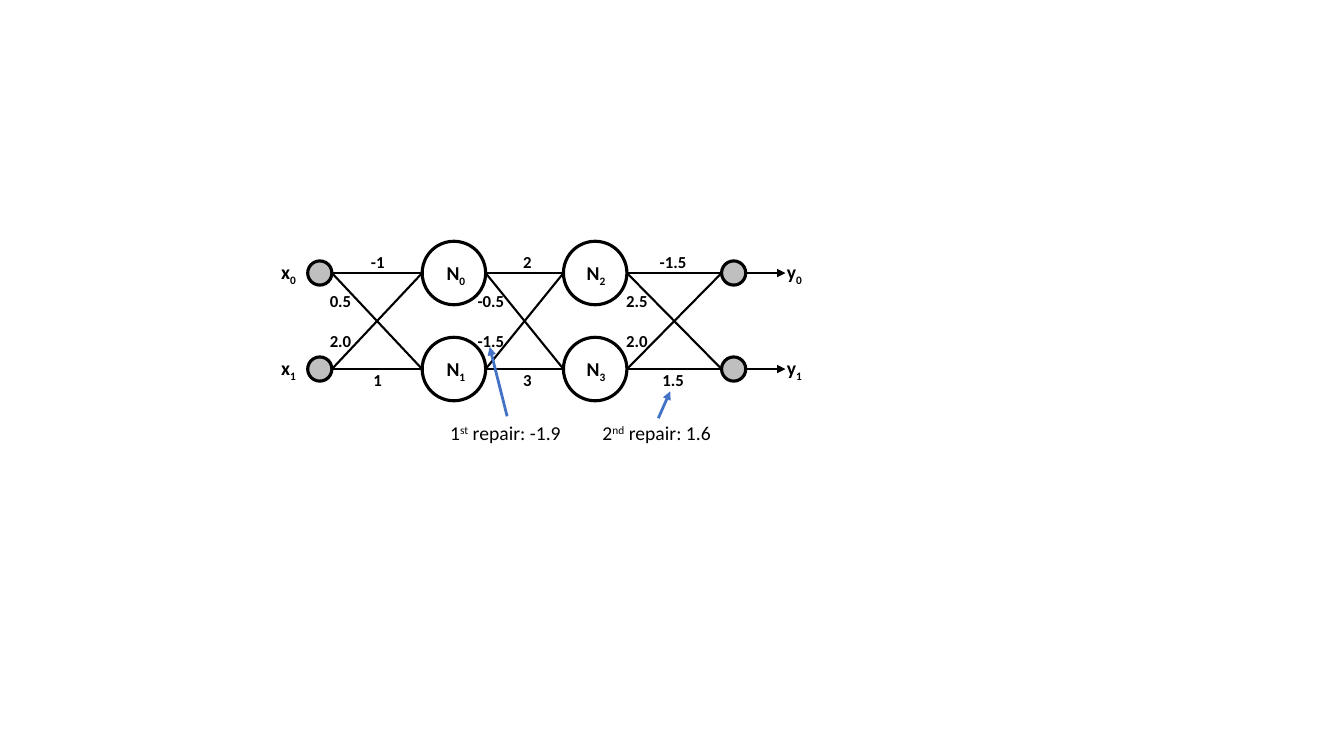
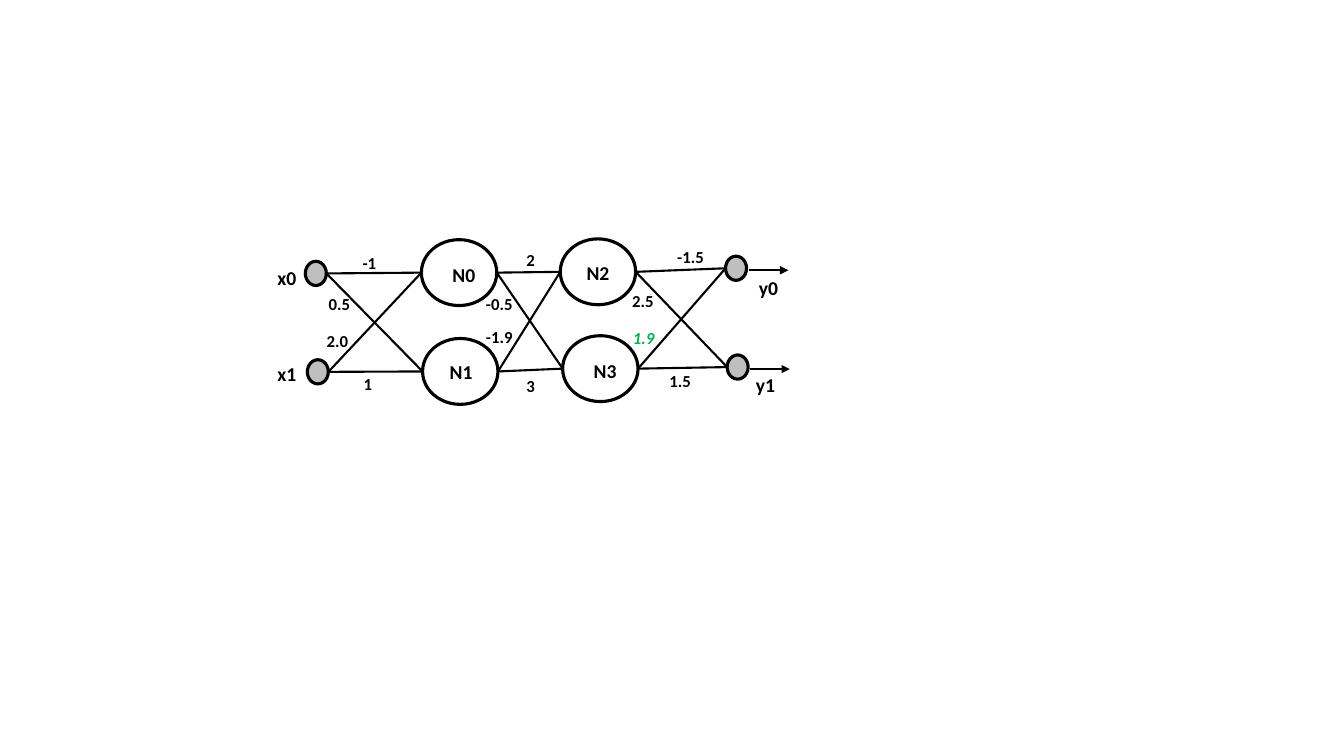
from dataclasses import dataclass
from itertools import pairwise, product

from lxml import etree
from pptx import Presentation
from pptx.dml.color import RGBColor
from pptx.enum import shapes, text
from pptx.oxml import ns
from pptx.util import Cm, Pt


@dataclass(frozen=True)
class Theme:
    font: str = "Calibri"
    ink: RGBColor = RGBColor(0x00, 0x00, 0x00)
    terminal_fill: RGBColor = RGBColor(0xBF, 0xBF, 0xBF)
    accent: RGBColor = RGBColor(0x44, 0x72, 0xC4)
    changed: RGBColor = RGBColor(0x00, 0xB0, 0x50)
    name_size: float = 14
    weight_size: float = 12
    outline: float = 2.25
    edge: float = 1.5
    pointer: float = 2


THEME = Theme()
ELLIPSE_LEFT, ELLIPSE_RIGHT = 2, 6  # connection sites of an ellipse
SUBSCRIPT, SUPERSCRIPT = -25, 30


@dataclass(frozen=True)
class Node:
    name: str
    x: float
    y: float
    name_x: float
    name_y: float


@dataclass(frozen=True)
class Weight:
    value: str
    x: float
    y: float
    changed: bool = False


@dataclass(frozen=True)
class Network:
    layers: list
    weights: list
    hidden_size: tuple
    terminal_size: tuple
    subscripts: bool = False
    arrow_shift: tuple = (0, 0)


# Elements
def add_label(slide, runs, x, y, size, bold=True, italic=False, color=THEME.ink):
    """Add a one-line label centred on (x, y); runs are (text, baseline) pairs."""
    letters = sum(len(content) for content, _ in runs)
    width = Cm(0.75) + Pt(letters * size * 0.5)
    height = Cm(0.25) + Pt(size * 1.22)
    box = slide.shapes.add_textbox(int(Cm(x) - width / 2), int(Cm(y) - height / 2),
                                   int(width), int(height))
    frame = box.text_frame
    frame.word_wrap = False
    frame.auto_size = text.MSO_AUTO_SIZE.SHAPE_TO_FIT_TEXT
    paragraph = frame.paragraphs[0]
    paragraph.alignment = text.PP_ALIGN.CENTER
    font = paragraph.font
    font.name, font.size, font.bold, font.italic = THEME.font, Pt(size), bold, italic
    font.color.rgb = color
    for content, baseline in runs:
        run = paragraph.add_run()
        run.text = content
        if baseline:
            run.font._element.set("baseline", str(baseline * 1000))


def add_node(slide, node, size, fill=None):
    width, height = size
    shape = slide.shapes.add_shape(
        shapes.MSO_SHAPE.OVAL, Cm(node.x - width / 2), Cm(node.y - height / 2),
        Cm(width), Cm(height))
    shape.shadow.inherit = False
    if fill is None:
        shape.fill.background()
    else:
        shape.fill.solid()
        shape.fill.fore_color.rgb = fill
    shape.line.color.rgb = THEME.ink
    shape.line.width = Pt(THEME.outline)
    return shape


def add_line(slide, start, end, color=THEME.ink, width=THEME.edge, arrow=False):
    connector = slide.shapes.add_connector(shapes.MSO_CONNECTOR.STRAIGHT, *start, *end)
    connector.line.color.rgb = color
    connector.line.width = Pt(width)
    if arrow:
        etree.SubElement(connector.line._get_or_add_ln(), ns.qn("a:tailEnd"), type="triangle")
    etree.SubElement(connector._element.spPr, ns.qn("a:effectLst"))
    return connector


def add_edge(slide, source, target):
    """Join the right side of one ellipse to the left side of another."""
    connector = add_line(
        slide,
        (source.left + source.width, source.top + source.height // 2),
        (target.left, target.top + target.height // 2))
    joints = connector._element.nvCxnSpPr.cNvCxnSpPr
    for tag, shape, site in (("a:stCxn", source, ELLIPSE_RIGHT),
                             ("a:endCxn", target, ELLIPSE_LEFT)):
        etree.SubElement(joints, ns.qn(tag), id=str(shape.shape_id), idx=str(site))


def add_network(slide, network):
    # Nodes
    last = len(network.layers) - 1
    columns = []
    for index, layer in enumerate(network.layers):
        if index in (0, last):
            style = (network.terminal_size, THEME.terminal_fill)
        else:
            style = (network.hidden_size,)
        columns.append([add_node(slide, node, *style) for node in layer])

    # Edges between neighbouring layers
    for left, right in pairwise(columns):
        for source, target in product(left, right):
            add_edge(slide, source, target)

    # Output arrows
    shift_x, shift_y = network.arrow_shift
    for shape in columns[-1]:
        x = shape.left + shape.width + Cm(shift_x)
        y = shape.top + shape.height // 2 + Cm(shift_y)
        add_line(slide, (x, y), (x + Cm(1), y), arrow=True)

    # Names and weights
    baseline = SUBSCRIPT if network.subscripts else 0
    for layer in network.layers:
        for node in layer:
            runs = [(node.name[0], 0), (node.name[1:], baseline)]
            add_label(slide, runs, node.name_x, node.name_y, THEME.name_size)
    for weight in network.weights:
        add_label(slide, [(weight.value, 0)], weight.x, weight.y, THEME.weight_size,
                  italic=weight.changed,
                  color=THEME.changed if weight.changed else THEME.ink)


def add_repair(slide, runs, x, start_y, tip):
    add_label(slide, runs, x - 0.04, 10.9, THEME.name_size, bold=False)
    add_line(slide, (Cm(x), Cm(start_y)), tuple(map(Cm, tip)),
             THEME.accent, THEME.pointer, arrow=True)


# Content
def regular_network():
    rows = (6.88, 9.3)
    columns = (  # node names, node x, name x, name rise
        (("x0", "x1"), 8.06, 7.27, 0.04),
        (("N0", "N1"), 11.44, 11.49, 0),
        (("N2", "N3"), 15, 15.02, 0),
        (("y0", "y1"), 18.49, 20.02, 0.04),
    )
    layers = [[Node(name, x, y, name_x, y - rise) for name, y in zip(names, rows)]
              for names, x, name_x, rise in columns]
    weight_rows = (6.6, 7.59, 8.59, 9.58)
    weight_columns = (  # values from top to bottom, outer x, inner x
        (("-1", "0.5", "2.0", "1"), 9.52, 8.58),
        (("2", "-0.5", "-1.5", "3"), 13.29, 12.37),
        (("-1.5", "2.5", "2.0", "1.5"), 16.96, 16.05),
    )
    weights = [Weight(value, x, y)
               for values, outer, inner in weight_columns
               for value, x, y in zip(values, (outer, inner, inner, outer), weight_rows)]
    return Network(layers, weights, (1.6, 1.6), (0.61, 0.61), subscripts=True)


def repaired_network():
    layers = [
        [Node("x0", 7.96, 6.89, 7.23, 7.01), Node("x1", 8.01, 9.37, 7.23, 9.42)],
        [Node("N0", 11.57, 6.87, 11.69, 6.92), Node("N1", 11.6, 9.36, 11.62, 9.37)],
        [Node("N2", 15.07, 6.85, 15.07, 6.88), Node("N3", 15.13, 9.29, 15.25, 9.34)],
        [Node("y0", 18.55, 6.76, 19.37, 7.26), Node("y1", 18.59, 9.25, 19.29, 9.7)],
    ]
    weights = [
        Weight("-1", 9.31, 6.63), Weight("0.5", 8.55, 7.65),
        Weight("2.0", 8.5, 8.59), Weight("1", 9.27, 9.68),
        Weight("2", 13.37, 6.54), Weight("-0.5", 12.58, 7.67),
        Weight("-1.9", 12.58, 8.48), Weight("3", 13.37, 9.73),
        Weight("-1.5", 17.4, 6.48), Weight("2.5", 16.2, 7.58),
        Weight("1.9", 16.22, 8.51, changed=True), Weight("1.5", 17.14, 9.6),
    ]
    return Network(layers, weights, (1.9, 1.66), (0.53, 0.61), arrow_shift=(0.05, 0.05))


def main():
    presentation = Presentation()
    presentation.slide_width, presentation.slide_height = Cm(33.87), Cm(19.05)
    blank = presentation.slide_layouts[6]

    # Slide 1: network with two proposed repairs
    slide = presentation.slides.add_slide(blank)
    add_network(slide, regular_network())
    add_repair(slide, [("1", 0), ("st", SUPERSCRIPT), (" repair: -1.9", 0)],
               12.78, 10.49, (12.34, 8.74))
    add_repair(slide, [("2", 0), ("nd", SUPERSCRIPT), (" repair: 1.6", 0)],
               16.59, 10.54, (16.89, 9.86))

    # Slide 2: network after the repair
    slide = presentation.slides.add_slide(blank)
    add_network(slide, repaired_network())

    presentation.save("out.pptx")


if __name__ == "__main__":
    main()
